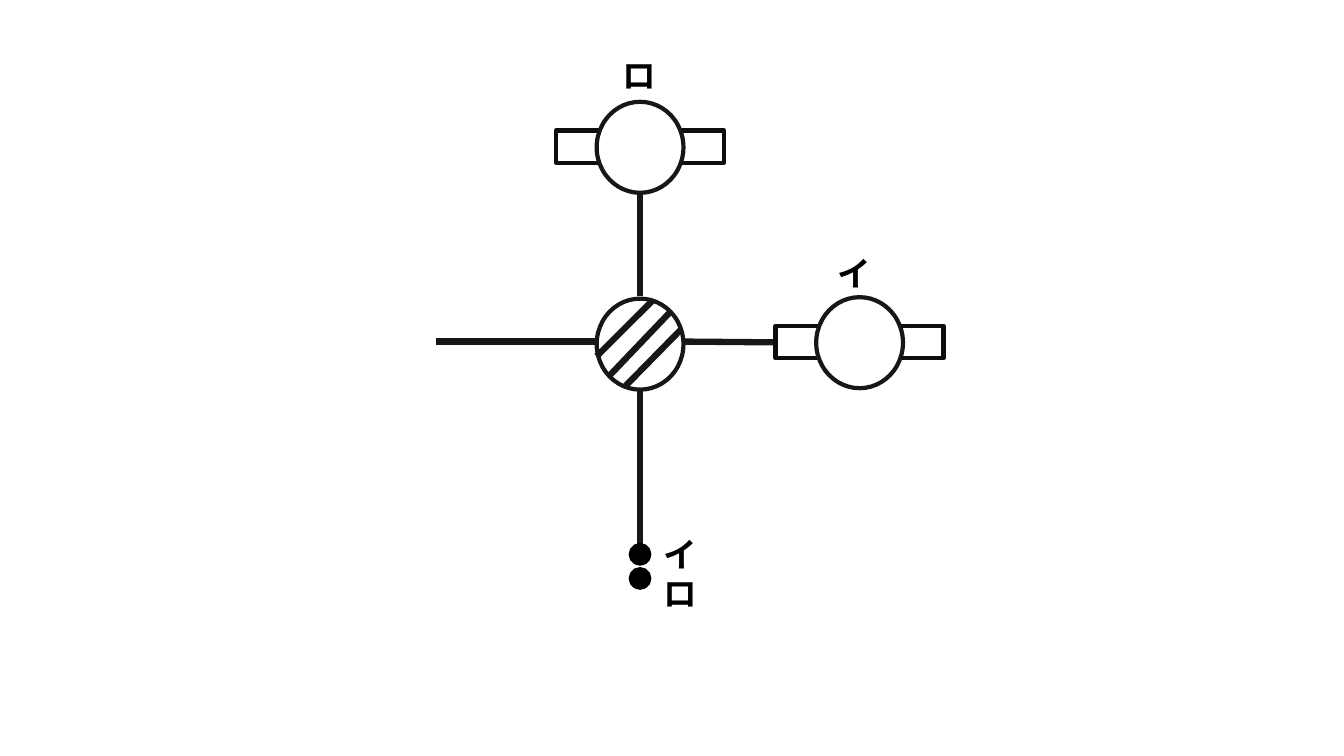
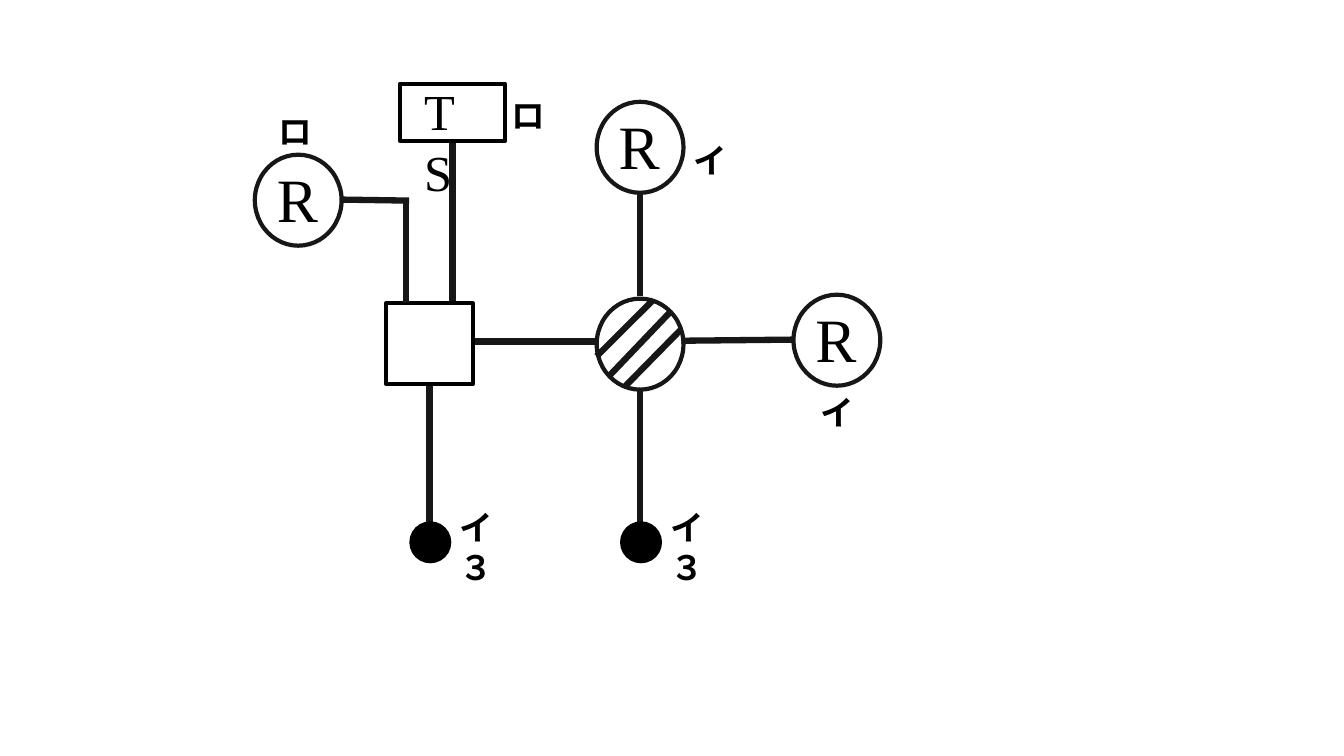
from dataclasses import dataclass

from lxml import etree
from pptx import Presentation
from pptx.dml.color import RGBColor
from pptx.enum.shapes import MSO_CONNECTOR, MSO_SHAPE
from pptx.oxml.ns import qn
from pptx.util import Pt

OVAL = MSO_SHAPE.OVAL
RECT = MSO_SHAPE.RECTANGLE
STRAIGHT = MSO_CONNECTOR.STRAIGHT


@dataclass(frozen=True)
class Theme:
    """Colours, fonts, type sizes and line widths shared by the slides."""

    ink: RGBColor = RGBColor(0x18, 0x17, 0x17)
    frame: RGBColor = RGBColor(0x0D, 0x0D, 0x0D)
    black: RGBColor = RGBColor(0, 0, 0)
    white: RGBColor = RGBColor(255, 255, 255)
    label_font: str = "Cambria"
    symbol_font: str = "Times New Roman"
    label_size: float = 24
    box_size: float = 36
    outlet_size: float = 44
    wire: float = 4.5
    outline: float = 3
    dot_outline: float = 2.25


THEME = Theme()
LAMP_W, LAMP_H = 62, 65
HUB_X, HUB_Y = 457.2, 244
TOP_Y = 105.2
HATCHES = [
    ((9.4, -31.6), (-31, 8.7)),
    ((21.6, -23), (-22.3, 23)),
    ((29.5, -10.7), (-10.8, 30.3)),
]


def add_wire(s, x1, y1, x2, y2):
    """Draw a thick straight line."""
    c = s.shapes.add_connector(STRAIGHT, Pt(x1), Pt(y1), Pt(x2), Pt(y2))
    c.line.color.rgb = THEME.ink
    c.line.width = Pt(THEME.wire)
    etree.SubElement(c._element.spPr, qn("a:effectLst"))


def add_symbol(s, kind, x, y, w, h, fill, line, width):
    """Draw a preset shape centred on a point."""
    sp = s.shapes.add_shape(kind, Pt(x - w / 2), Pt(y - h / 2), Pt(w), Pt(h))
    sp.shadow.inherit = False
    sp.fill.solid()
    sp.fill.fore_color.rgb = fill
    if width:
        sp.line.color.rgb = line
        sp.line.width = Pt(width)
    else:
        sp.line.fill.background()


def add_text(s, text, x, y, w, h, font, size, bold=False):
    """Place a text box, one paragraph for each line."""
    tf = s.shapes.add_textbox(Pt(x), Pt(y), Pt(w), Pt(h)).text_frame
    tf.word_wrap = True
    tf.text = text
    for p in tf.paragraphs:
        for r in p.runs:
            r.font.name = font
            r.font.size = Pt(size)
            r.font.bold = bold
            r.font.color.rgb = THEME.black


def add_label(s, text, x, y):
    """Place a bold circuit label."""
    h = 36 if len(text) == 1 else 65.5
    add_text(s, text, x, y, 40, h, THEME.label_font, THEME.label_size, True)


def add_lamp(s, x, y):
    """Draw an outlined circle centred on a point."""
    add_symbol(s, OVAL, x, y, LAMP_W, LAMP_H, THEME.white, THEME.ink, THEME.outline)


def add_hub(s, x, y):
    """Draw the hatched circle centred on a point."""
    add_lamp(s, x, y)
    for (x1, y1), (x2, y2) in HATCHES:
        add_wire(s, x + x1, y + y1, x + x2, y + y2)


def add_fluorescent(s, x, y, text, dx, dy):
    """Draw a tube lamp with its label offset from the centre."""
    add_symbol(s, RECT, x, y - 0.5, 120, 23, THEME.white, THEME.frame, THEME.outline)
    add_lamp(s, x, y)
    add_label(s, text, x + dx, y + dy)


def add_outlet(s, x, y, text, dx, dy):
    """Draw an R circle with its label offset from the centre."""
    add_lamp(s, x, y)
    add_text(s, "R", x - 22.4, y - 31.6, 42.5, 60.5, THEME.symbol_font, THEME.outlet_size)
    add_label(s, text, x + dx, y + dy)


def add_switch(s, x, y, d, text, dx, dy, width=0):
    """Draw a black dot with its label offset from the centre."""
    add_symbol(s, OVAL, x, y, d, d, THEME.black, THEME.black, width)
    add_label(s, text, x + dx, y + dy)


def add_timer(s, x, y, w, h):
    """Draw the TS box with its text and label."""
    add_symbol(s, RECT, x + w / 2, y + h / 2, w, h, THEME.white, THEME.black, THEME.outline)
    add_text(s, "TS", x + 10, y - 5.8, 54, 51, THEME.symbol_font, THEME.box_size)
    add_label(s, "ロ", x + w - 2.2, y + 4.2)


def add_trunk(s):
    """Draw the hub and the wires up and down from it."""
    add_wire(s, HUB_X, 262, HUB_X, 394.6)
    add_wire(s, HUB_X, 136.8, HUB_X, 211.7)
    add_hub(s, HUB_X, HUB_Y + 1.8)


def build_tube_slide(s):
    """Draw the circuit with two tube lamps."""
    add_trunk(s)
    add_wire(s, 583.2, 244.8, 488.2, HUB_Y)
    add_wire(s, 424.8, HUB_Y, 311.8, HUB_Y)
    add_switch(s, HUB_X, 396, 14, "イ", 9.4, -18, THEME.dot_outline)
    add_switch(s, HUB_X, 413.2, 14, "ロ", 9.4, -7.2, THEME.dot_outline)
    add_fluorescent(s, HUB_X, TOP_Y, "ロ", -19.4, -69.2)
    add_fluorescent(s, 614, 244.8, "イ", -23, -67.7)


def build_outlet_slide(s):
    """Draw the circuit with three R circles and a TS box."""
    add_wire(s, 323.3, 100.8, 323.3, 221)
    add_wire(s, 306.7, 262, 306.7, 393.8)
    add_trunk(s)
    add_wire(s, 424.8, HUB_Y, 311.8, HUB_Y)
    add_wire(s, 486.7, 243.4, 566.6, 242.6)
    add_symbol(s, RECT, 306.7, 245.5, 62, 57.6, THEME.white, THEME.black, THEME.outline)
    add_wire(s, 290.2, 141.8, 290.2, 216.7)
    add_wire(s, 244.8, 142.6, 292.3, 143.3)
    add_timer(s, 285.8, 59.8, 75, 41)
    add_outlet(s, 213, 143, "ロ", -20.8, -67.4)
    add_outlet(s, HUB_X, TOP_Y, "イ", 31, -8.7)
    add_outlet(s, 597.8, 243, "イ", -18.9, 33.5)
    for x in (307.4, 457.9):
        add_switch(s, x, 387.4, 30, "イ\n３", 13.7, -28.8)


def main():
    """Build both slides and save the file."""
    prs = Presentation()
    prs.slide_width, prs.slide_height = Pt(960), Pt(540)
    for build in (build_tube_slide, build_outlet_slide):
        build(prs.slides.add_slide(prs.slide_layouts[6]))
    prs.save("out.pptx")


if __name__ == "__main__":
    main()
